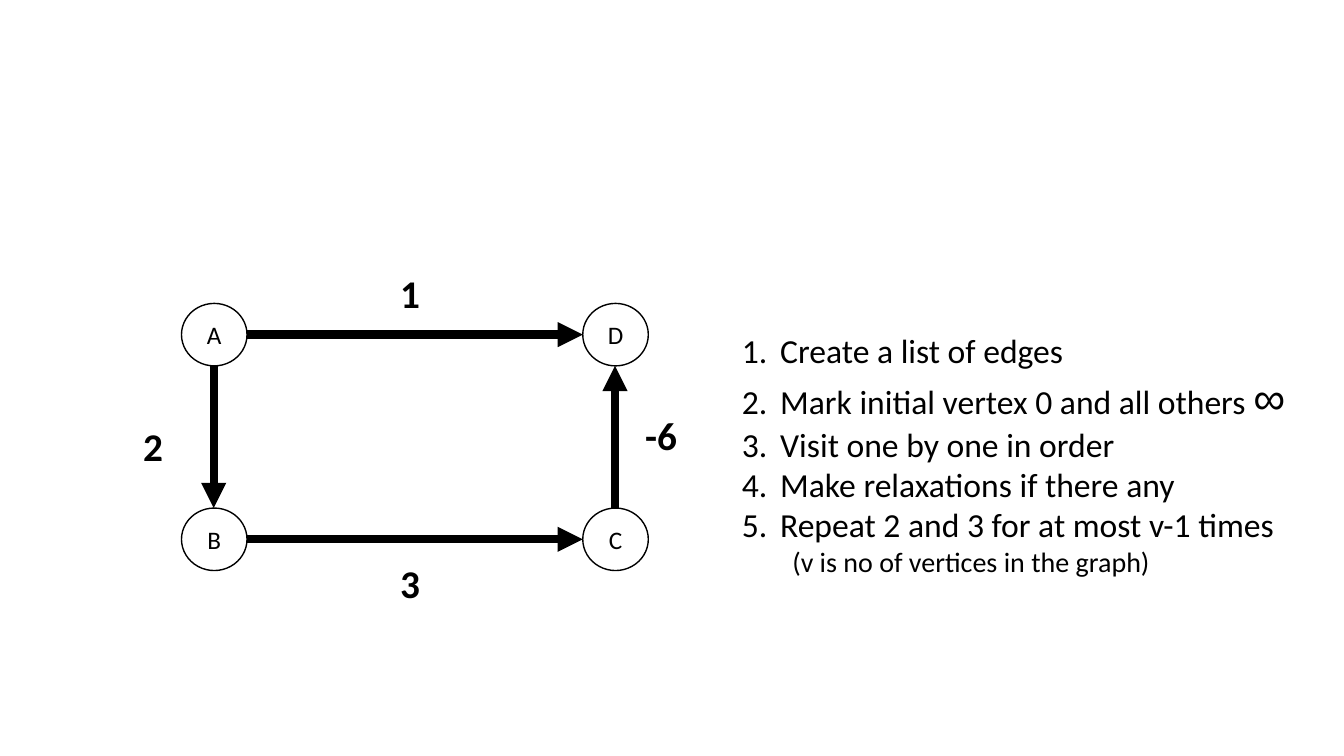
from lxml import etree
from pptx import Presentation
from pptx import util as u
from pptx.dml.color import RGBColor
from pptx.enum import shapes, text
from pptx.oxml.ns import qn

PX = 9144  # EMU per px, 100 px to the inch
BLACK, WHITE = "000000", "FFFFFF"
NODE_W, NODE_H = 65, 62

STEPS = [
    "Create a list of edges",
    "Mark initial vertex 0 and all others ",
    "Visit one by one in order",
    "Make relaxations if there any",
    "Repeat 2 and 3 for at most v-1 times",
]
INFINITY_STEP = 1
NOTE = "(v is no of vertices in the graph)"


def px(*lengths):
    return [u.Emu(length * PX) for length in lengths]


def color(hex_string):
    return RGBColor.from_string(hex_string)


def format_run(run, size, bold=False, font="Calibri"):
    run.font.name = font
    run.font.size = u.Pt(size)
    run.font.bold = bold
    run.font.color.rgb = color(BLACK)


def add_text_box(slide, left, top, width, height):
    frame = slide.shapes.add_textbox(*px(left, top, width, height)).text_frame
    frame.word_wrap = True
    frame.auto_size = text.MSO_AUTO_SIZE.SHAPE_TO_FIT_TEXT
    return frame


def add_vertex(slide, name, left, top):
    shape = slide.shapes.add_shape(
        shapes.MSO_SHAPE.OVAL, *px(left, top, NODE_W, NODE_H))
    shape.shadow.inherit = False
    shape.fill.solid()
    shape.fill.fore_color.rgb = color(WHITE)
    shape.line.color.rgb = color(BLACK)
    shape.line.width = u.Pt(1)
    frame = shape.text_frame
    frame.vertical_anchor = text.MSO_ANCHOR.MIDDLE
    frame.text = name
    paragraph = frame.paragraphs[0]
    paragraph.alignment = text.PP_ALIGN.CENTER
    format_run(paragraph.runs[0], 18)


def add_edge(slide, start, end):
    connector = slide.shapes.add_connector(
        shapes.MSO_CONNECTOR.STRAIGHT, *px(*start, *end))
    connector.line.color.rgb = color(BLACK)
    connector.line.width = u.Pt(6)
    etree.SubElement(connector.line._get_or_add_ln(), qn("a:tailEnd"), type="triangle")
    etree.SubElement(connector._element.spPr, qn("a:effectLst"))


def add_weight(slide, weight, left, top, width=49):
    frame = add_text_box(slide, left, top, width, 57)
    frame.text = weight
    format_run(frame.paragraphs[0].runs[0], 28, bold=True)


def add_graph(slide, left, top, width, height):
    """Place the vertices at the corners of the box and the weights beside its sides."""
    right, bottom = left + width - NODE_W, top + height - NODE_H
    corners = {"A": (left, top), "D": (right, top),
               "B": (left, bottom), "C": (right, bottom)}
    for name, corner in corners.items():
        add_vertex(slide, name, *corner)

    def side(name, across, down):
        """Point on a vertex, counted in half widths and half heights."""
        x, y = corners[name]
        return x + across * NODE_W // 2, y + down * NODE_H // 2

    add_edge(slide, side("A", 1, 2), side("B", 1, 0))
    add_edge(slide, side("A", 2, 1), side("D", 0, 1))
    add_edge(slide, side("B", 2, 1), side("C", 0, 1))
    add_edge(slide, side("C", 1, 0), side("D", 1, 2))

    add_weight(slide, "2", left - 48, top + 113)
    add_weight(slide, "3", left + 207, top + 249)
    add_weight(slide, "-6", right + 52, top + 102, width=77)
    add_weight(slide, "1", left + 207, top - 39)


def set_indent(paragraph, margin, hanging=0):
    properties = paragraph._p.get_or_add_pPr()
    properties.set("marL", str(margin * PX))
    properties.set("indent", str(-hanging * PX))
    return properties


def add_steps(slide, left, top, width, height):
    frame = add_text_box(slide, left, top, width, height)
    frame.text = "\n".join(STEPS + [NOTE])
    *steps, note = frame.paragraphs
    for paragraph in steps:
        properties = set_indent(paragraph, 38, hanging=38)
        etree.SubElement(properties, qn("a:buFont"), typeface="+mj-lt")
        etree.SubElement(properties, qn("a:buAutoNum"), type="arabicPeriod")
        format_run(paragraph.runs[0], 24)
    infinity = steps[INFINITY_STEP].add_run()
    infinity.text = "∞"
    format_run(infinity, 32, font="Arial")
    note.level = 1
    set_indent(note, 50)
    format_run(note.runs[0], 20)


def main():
    presentation = Presentation()
    presentation.slide_width, presentation.slide_height = px(1333, 750)
    slide = presentation.slides.add_slide(presentation.slide_layouts[6])
    add_graph(slide, 180, 301, 463, 265)
    add_steps(slide, 726, 322, 584, 259)
    presentation.save("out.pptx")


if __name__ == "__main__":
    main()
